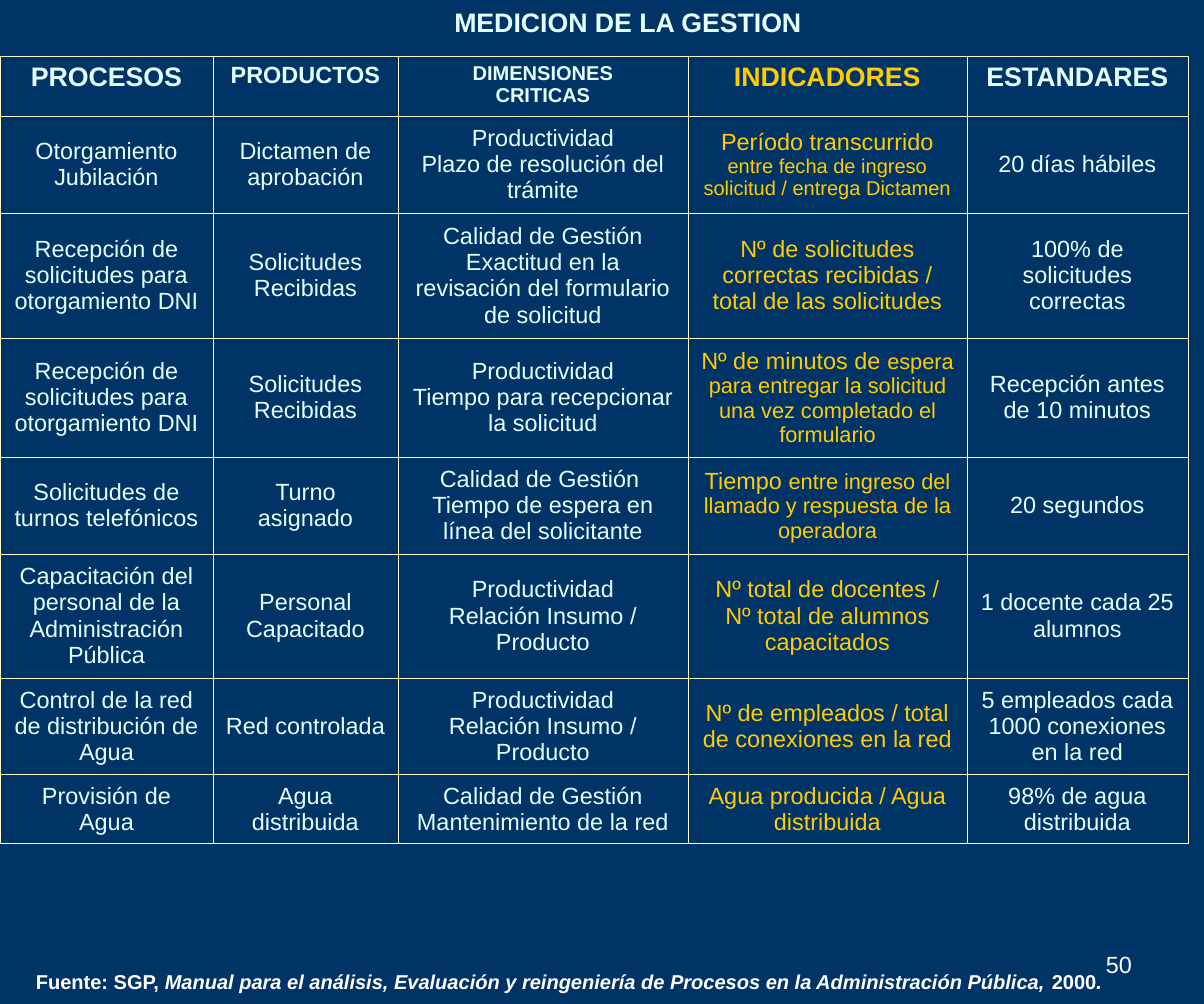
from dataclasses import dataclass
from typing import Optional, Union

from lxml.etree import SubElement
from pptx import Presentation
from pptx.dml.color import RGBColor
from pptx.enum.text import MSO_ANCHOR, MSO_AUTO_SIZE, PP_ALIGN
from pptx.oxml.ns import qn
from pptx.util import Emu, Pt

PX = 7595  # EMU per px
NAVY = RGBColor(0x00, 0x33, 0x66)
ICE = RGBColor(0xE5, 0xFF, 0xFF)
GOLD = RGBColor(0xFF, 0xCC, 0x00)
CREAM = RGBColor(0xFF, 0xFF, 0xCC)
WHITE = RGBColor(0xFF, 0xFF, 0xFF)
FONT = "Arial"
BORDER_WIDTH = Pt(0.45)


@dataclass(frozen=True)
class Span:
    text: str
    size: Optional[float] = None
    italic: Optional[bool] = None


@dataclass(frozen=True)
class Column:
    heading: str
    heading_size: float
    width: int
    color: RGBColor = ICE


Content = Union[str, tuple[Span, ...]]

COLUMNS = [
    Column("PROCESOS", 16, 213),
    Column("PRODUCTOS", 14, 185),
    Column("DIMENSIONES\vCRITICAS", 12, 290),
    Column("INDICADORES", 16, 279, GOLD),
    Column("ESTANDARES", 16, 221),
]
ROW_HEIGHTS = [60, 97, 125, 119, 97, 124, 97, 69]
BODY_SIZE = 14

ROWS: list[tuple[Content, ...]] = [
    ("Otorgamiento Jubilación", "Dictamen de aprobación",
     "Productividad\vPlazo de resolución del trámite",
     (Span("Período transcurrido ", 14),
      Span("entre fecha de ingreso solicitud / entrega Dictamen", 12)),
     "20 días hábiles"),
    ("Recepción de solicitudes para otorgamiento DNI", "Solicitudes Recibidas",
     "Calidad de Gestión\vExactitud en la revisación del formulario de solicitud",
     "Nº de solicitudes correctas recibidas / total de las solicitudes",
     "100% de solicitudes correctas"),
    ("Recepción de solicitudes para otorgamiento DNI", "Solicitudes Recibidas",
     "Productividad\vTiempo para recepcionar la solicitud",
     (Span("Nº de minutos de ", 14),
      Span("espera para entregar la solicitud una vez completado el formulario", 13)),
     "Recepción antes de 10 minutos"),
    ("Solicitudes de turnos telefónicos", "Turno asignado",
     "Calidad de Gestión \vTiempo de espera en línea del solicitante",
     (Span("Tiempo ", 14),
      Span("entre ingreso del llamado y respuesta de la operadora", 13)),
     "20 segundos"),
    ("Capacitación del personal de la Administración Pública", "Personal Capacitado",
     "Productividad\vRelación Insumo / Producto",
     "Nº total de docentes / Nº total de alumnos capacitados",
     "1 docente cada 25 alumnos"),
    ("Control de la red de distribución de Agua", "Red controlada",
     "Productividad\vRelación Insumo / Producto",
     "Nº de empleados / total de conexiones en la red",
     "5 empleados cada 1000 conexiones en la red"),
    ("Provisión de Agua", "Agua distribuida",
     "Calidad de Gestión\vMantenimiento de la red",
     "Agua producida / Agua distribuida",
     "98% de agua distribuida"),
]

CITATION = (
    Span("Fuente: SGP, ", italic=False),
    Span("Manual para el análisis, Evaluación y reingeniería de Procesos"
         " en la Administración Pública, ", italic=True),
    Span("2000", italic=False),
    Span(".", italic=True),
)


def px(length: int) -> Emu:
    return Emu(length * PX)


def write(frame, content: Content, size: float, color: RGBColor,
          bold: bool = False, align: PP_ALIGN = PP_ALIGN.CENTER) -> None:
    """Fill the frame's first paragraph with plain or mixed text."""
    paragraph = frame.paragraphs[0]
    paragraph.alignment = align
    paragraph.space_before = Pt(0)
    font = paragraph.font
    font.name, font.size, font.bold = FONT, Pt(size), bold
    font.color.rgb = color
    if isinstance(content, str):
        paragraph.text = content
        return
    for span in content:
        run = paragraph.add_run()
        run.text = span.text
        if span.size is not None:
            run.font.size = Pt(span.size)
        if span.italic is not None:
            run.font.italic = span.italic


def place(shape, left: int, top: int, width: int, height: int,
          anchor: MSO_ANCHOR = MSO_ANCHOR.TOP):
    """Position a text shape and return its frame."""
    shape.left, shape.top = px(left), px(top)
    shape.width, shape.height = px(width), px(height)
    frame = shape.text_frame
    frame.word_wrap = True
    frame.auto_size = MSO_AUTO_SIZE.NONE
    frame.vertical_anchor = anchor
    return frame


def add_borders(cell) -> None:
    properties = cell._tc.get_or_add_tcPr()
    for index, side in enumerate(("a:lnL", "a:lnR", "a:lnT", "a:lnB")):
        line = SubElement(properties, qn(side), w=str(int(BORDER_WIDTH)))
        fill = SubElement(line, qn("a:solidFill"))
        SubElement(fill, qn("a:srgbClr"), val=str(CREAM))
        properties.insert(index, line)  # borders come before the fill


def add_indicator_table(slide) -> None:
    widths = [column.width for column in COLUMNS]
    table = slide.shapes.add_table(
        len(ROW_HEIGHTS), len(COLUMNS), px(0), px(56),
        px(sum(widths)), px(sum(ROW_HEIGHTS))).table
    table.first_row = table.horz_banding = False
    for row, height in zip(table.rows, ROW_HEIGHTS):
        row.height = px(height)
    for index, column in enumerate(COLUMNS):
        table.columns[index].width = px(column.width)
        contents = [column.heading] + [row[index] for row in ROWS]
        for level, content in enumerate(contents):
            heading = level == 0
            cell = table.cell(level, index)
            cell.vertical_anchor = MSO_ANCHOR.TOP if heading else MSO_ANCHOR.MIDDLE
            cell.fill.background()
            add_borders(cell)
            write(cell.text_frame, content,
                  column.heading_size if heading else BODY_SIZE,
                  column.color, bold=heading)


def main() -> None:
    deck = Presentation()
    deck.slide_width, deck.slide_height = px(1204), px(1004)
    slide = deck.slides.add_slide(deck.slide_layouts[5])
    slide.background.fill.solid()
    slide.background.fill.fore_color.rgb = NAVY

    # Title
    title = place(slide.shapes.title, 242, 0, 772, 45)
    write(title, "MEDICION DE LA GESTION", 16, ICE, bold=True)

    # Source line
    citation = place(slide.shapes.add_textbox(0, 0, 0, 0), 24, 964, 1157, 40)
    write(citation, CITATION, 12, WHITE, bold=True, align=PP_ALIGN.LEFT)

    # Processes and their indicators
    add_indicator_table(slide)

    # Page number
    page = place(slide.shapes.add_textbox(0, 0, 0, 0), 863, 914, 281, 70,
                 MSO_ANCHOR.BOTTOM)
    write(page, "50", 14, WHITE, align=PP_ALIGN.RIGHT)

    deck.save("out.pptx")


if __name__ == "__main__":
    main()
